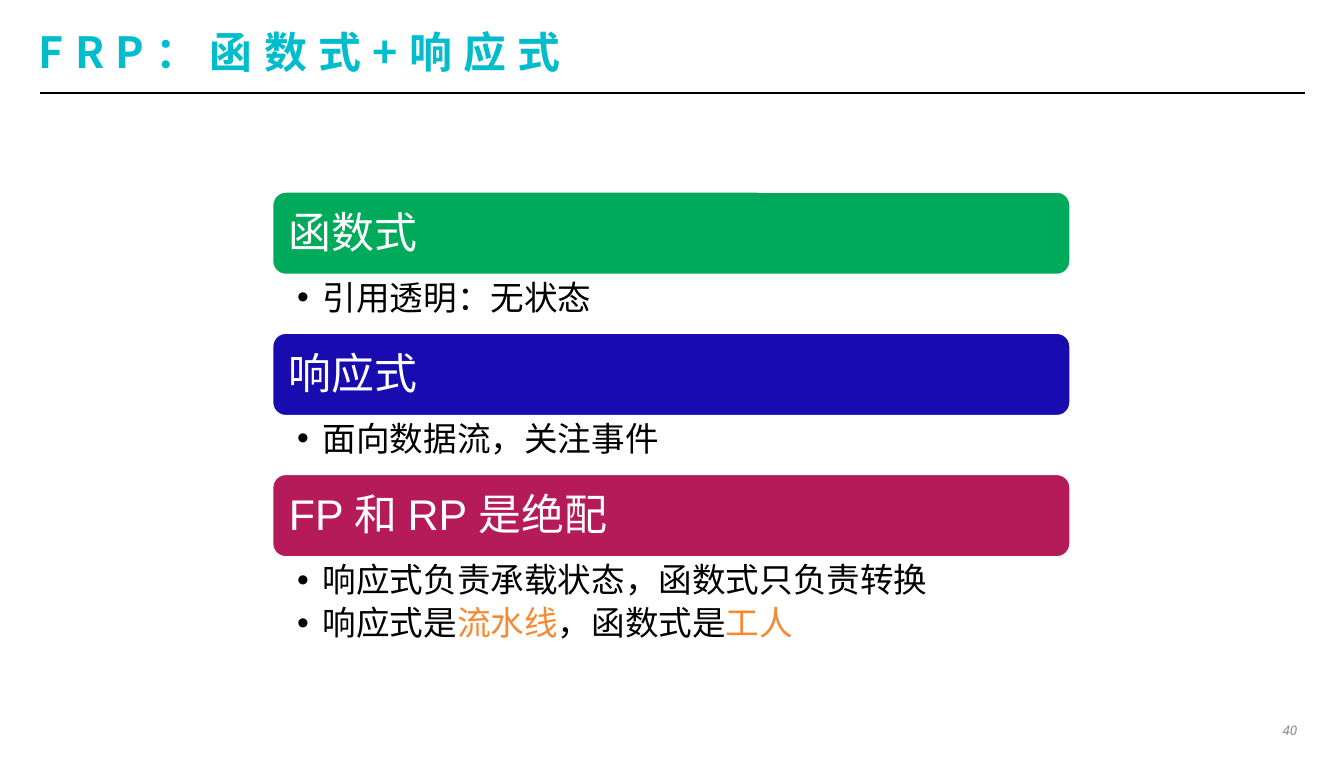
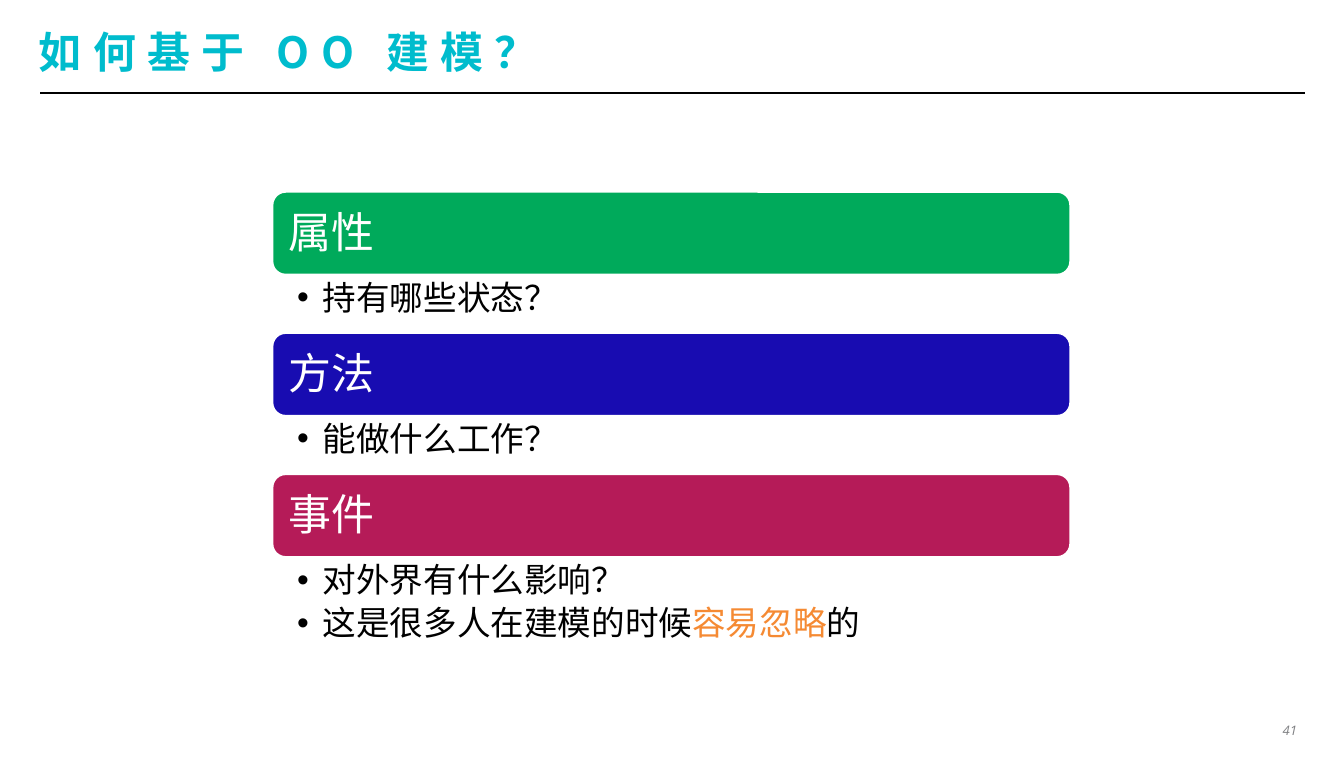
from lxml.etree import SubElement
from pptx import Presentation
from pptx.dml.color import RGBColor
from pptx.enum.lang import MSO_LANGUAGE_ID
from pptx.enum.shapes import MSO_CONNECTOR, MSO_SHAPE
from pptx.enum.text import MSO_ANCHOR, PP_ALIGN
from pptx.oxml.ns import qn
from pptx.util import Inches, Pt

# Shared style
TITLE_FONT = "Noto Sans CJK JP"
BODY_FONT = "Arial"
TITLE_COLOR = "00BCCD"
HIGHLIGHT_COLOR = "F58A33"
BAND_COLORS = ["00AA5B", "180CB1", "B51B58"]
BAND_LEFT, BAND_TOP, BAND_WIDTH, BAND_HEIGHT = 2.02, 1.42, 5.95, 0.63
BAND_PITCH = 1.05

# Content: title, page number, sections of (heading, bullets); *stars* mark highlights
SLIDES = [
    ("FRP：函数式+响应式", "40", [
        ("函数式", ["引用透明：无状态"]),
        ("响应式", ["面向数据流，关注事件"]),
        ("FP 和 RP 是绝配", ["响应式负责承载状态，函数式只负责转换",
                         "响应式是*流水线*，函数式是*工人*"]),
    ]),
    ("如何基于 OO 建模？", "41", [
        ("属性", ["持有哪些状态？"]),
        ("方法", ["能做什么工作？"]),
        ("事件", ["对外界有什么影响？", "这是很多人在建模的时候*容易忽略*的"]),
    ]),
]


def format_run(run, size, font_name, color):
    run.font.size = Pt(size)
    run.font.name = font_name
    run.font.color.rgb = RGBColor.from_string(color)


def set_frame(text_frame, left, top, right, bottom, anchor, wrap=True):
    text_frame.margin_left, text_frame.margin_right = Inches(left), Inches(right)
    text_frame.margin_top, text_frame.margin_bottom = Inches(top), Inches(bottom)
    text_frame.vertical_anchor = anchor
    text_frame.word_wrap = wrap


presentation = Presentation()
presentation.slide_width = Inches(10)
presentation.slide_height = Inches(5.63)
title_only_layout = presentation.slide_layouts[5]

for title_text, page_number, sections in SLIDES:
    slide = presentation.slides.add_slide(title_only_layout)

    # Line under the title
    title_line = slide.shapes.add_connector(
        MSO_CONNECTOR.STRAIGHT, Inches(0.3), Inches(0.69), Inches(9.71), Inches(0.69))
    title_line.line.color.rgb = RGBColor.from_string("000000")
    title_line.line.width = Pt(1)
    SubElement(title_line._element.spPr, qn("a:effectLst"))

    # Title
    title = slide.shapes.title
    title.left, title.top = Inches(0.29), Inches(0.18)
    title.width, title.height = Inches(9.41), Inches(0.42)
    set_frame(title.text_frame, 0, 0, 0, 0.02, MSO_ANCHOR.MIDDLE)
    title.text_frame.text = title_text
    paragraph = title.text_frame.paragraphs[0]
    paragraph.alignment = PP_ALIGN.LEFT
    run = paragraph.runs[0]
    format_run(run, 23, TITLE_FONT, TITLE_COLOR)
    run.font.bold = True
    run_properties = run.font._element
    run_properties.set("spc", "600")
    SubElement(run_properties, qn("a:ea"), typeface=TITLE_FONT)

    # Page number: no left margin, so that both digits fit on one line
    number_box = slide.shapes.add_textbox(
        Inches(9.5), Inches(5.34), Inches(0.21), Inches(0.17))
    set_frame(number_box.text_frame, 0, 0.03, 0.06, 0.03, MSO_ANCHOR.TOP, wrap=False)
    number_box.text_frame.text = page_number
    paragraph = number_box.text_frame.paragraphs[0]
    paragraph.alignment = PP_ALIGN.RIGHT
    format_run(paragraph.runs[0], 7, "Open Sans", "808184")
    paragraph.runs[0].font.italic = True

    for index, (heading, bullets) in enumerate(sections):
        top = BAND_TOP + index * BAND_PITCH

        # Coloured heading band
        band = slide.shapes.add_shape(
            MSO_SHAPE.ROUNDED_RECTANGLE, Inches(BAND_LEFT), Inches(top),
            Inches(BAND_WIDTH), Inches(BAND_HEIGHT))
        band.shadow.inherit = False
        band.fill.solid()
        band.fill.fore_color.rgb = RGBColor.from_string(BAND_COLORS[index])
        band.line.color.rgb = RGBColor.from_string("FFFFFF")
        band.line.width = Pt(2)
        set_frame(band.text_frame, 0.1, 0.07, 0.1, 0.05, MSO_ANCHOR.MIDDLE)
        band.text_frame.text = heading
        paragraph = band.text_frame.paragraphs[0]
        paragraph.alignment = PP_ALIGN.LEFT
        paragraph.line_spacing = 0.9
        format_run(paragraph.runs[0], 23, BODY_FONT, "FFFFFF")
        paragraph.runs[0].font.language_id = MSO_LANGUAGE_ID.SIMPLIFIED_CHINESE

        # Bullets below the band
        list_height = 0.42 + 0.3 * (len(bullets) - 1)
        list_box = slide.shapes.add_textbox(
            Inches(BAND_LEFT), Inches(top + 0.64), Inches(BAND_WIDTH), Inches(list_height))
        set_frame(list_box.text_frame, 0.19, 0.03, 0.18, 0.03, MSO_ANCHOR.TOP)
        list_box.text_frame.text = "\n".join([""] * len(bullets))
        for paragraph, bullet in zip(list_box.text_frame.paragraphs, bullets):
            paragraph.level = 1
            paragraph.line_spacing = 0.9
            paragraph.space_after = Pt(3.6)
            properties = paragraph._p.get_or_add_pPr()
            properties.set("marL", str(Inches(0.19)))
            properties.set("indent", str(-Inches(0.19)))
            SubElement(properties, qn("a:buFont"), typeface=BODY_FONT)
            SubElement(properties, qn("a:buChar"), char="•")
            for part_index, part in enumerate(bullet.split("*")):
                if part:
                    run = paragraph.add_run()
                    run.text = part
                    color = HIGHLIGHT_COLOR if part_index % 2 else "000000"
                    format_run(run, 18, BODY_FONT, color)
                    run.font.language_id = MSO_LANGUAGE_ID.SIMPLIFIED_CHINESE

presentation.save("out.pptx")
